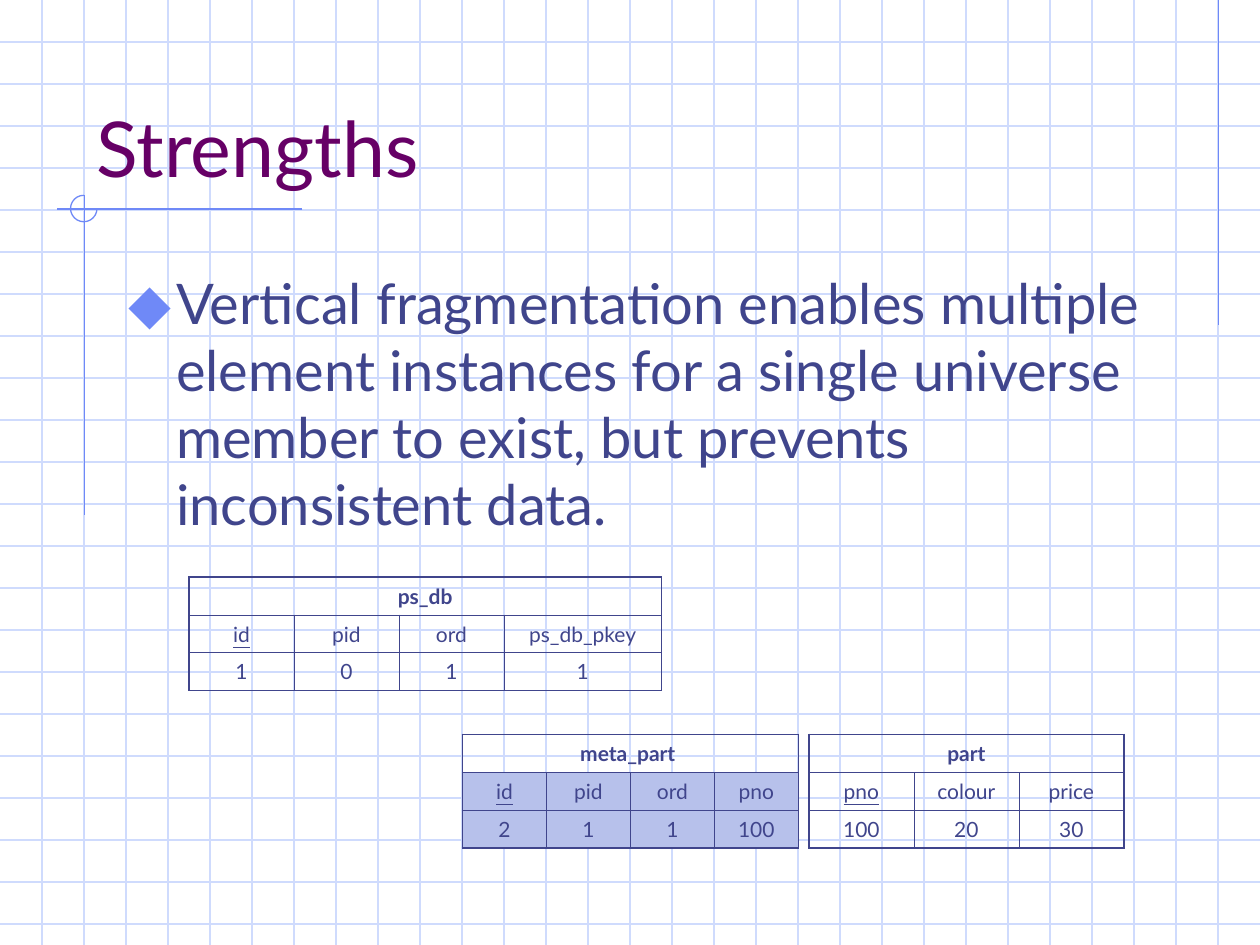
from dataclasses import dataclass

from lxml import etree
from pptx import Presentation
from pptx import util as u
from pptx.dml.color import RGBColor
from pptx.enum import shapes, text
from pptx.oxml.ns import qn

FONT = "Lato"
COLORS = {
    "grid": "CFDBFD",
    "accent": "6F89F7",
    "title": "660066",
    "text": "40458C",
    "shade": "B7C1EB",
}
WIDTH, HEIGHT = 10, 7.5
GRID_STEP = 1 / 3
ROW_HEIGHT = 0.3
THICK, THIN = 1.08, 0.45


@dataclass
class Relation:
    """A database table: name, key column first, one row of data."""
    name: str
    left: float
    top: float
    widths: list[float]
    columns: list[str]
    values: list[str]
    shaded: bool = False


RELATIONS = [
    Relation("ps_db", 1.5, 4.58, [2.5 / 3] * 3 + [1.25],
             ["id", "pid", "ord", "ps_db_pkey"], ["1", "0", "1", "1"]),
    Relation("part", 6.42, 5.83, [2.5 / 3] * 3,
             ["pno", "colour", "price"], ["100", "20", "30"]),
    Relation("meta_part ", 3.67, 5.83, [2 / 3] * 4,
             ["id", "pid", "ord", "pno"], ["2", "1", "1", "100"], shaded=True),
]


def rgb(name: str) -> RGBColor:
    return RGBColor.from_string(COLORS[name])


def write(tf, content: str, *, size: float, color: str, bold: bool = False,
          underline: bool = False, align=text.PP_ALIGN.LEFT):
    """Put one formatted run into the first paragraph and return it."""
    p = tf.paragraphs[0]
    p.alignment = align
    r = p.add_run()
    r.text = content
    r.font.name = FONT
    r.font.size = u.Pt(size)
    r.font.bold = bold
    r.font.underline = underline
    r.font.color.rgb = rgb(color)
    return p


def add_line(s, x1: float, y1: float, x2: float, y2: float, color: str) -> None:
    sp = s.shapes.add_connector(shapes.MSO_CONNECTOR.STRAIGHT,
                                *map(u.Inches, (x1, y1, x2, y2)))
    sp.line.color.rgb = rgb(color)
    sp.line.width = u.Pt(0.75)
    etree.SubElement(sp._element.spPr, qn("a:effectLst"))


def add_text_box(s, left: float, top: float, width: float, height: float, anchor):
    tf = s.shapes.add_textbox(*map(u.Inches, (left, top, width, height))).text_frame
    tf.word_wrap = True
    tf.vertical_anchor = anchor
    return tf


def add_bullet(p, char: str, color: str, percent: int, indent: float) -> None:
    pPr = p._p.get_or_add_pPr()
    pPr.set("marL", str(u.Inches(indent)))
    pPr.set("indent", str(-u.Inches(indent)))
    bu_color = etree.SubElement(pPr, qn("a:buClr"))
    etree.SubElement(bu_color, qn("a:srgbClr"), val=COLORS[color])
    etree.SubElement(pPr, qn("a:buSzPct"), val=str(percent * 1000))
    etree.SubElement(pPr, qn("a:buFont"), typeface=FONT)
    etree.SubElement(pPr, qn("a:buChar"), char=char)


def set_borders(cell, outer: dict[str, bool]) -> None:
    """Draw outer edges thick and inner edges thin."""
    tcPr = cell._tc.get_or_add_tcPr()
    for i, (side, is_outer) in enumerate(outer.items()):
        width = u.Pt(THICK if is_outer else THIN)
        ln = etree.Element(qn(f"a:ln{side}"), w=str(int(width)))
        fill = etree.SubElement(ln, qn("a:solidFill"))
        etree.SubElement(fill, qn("a:srgbClr"), val=COLORS["text"])
        tcPr.insert(i, ln)


def add_relation(s, rel: Relation) -> None:
    n = len(rel.columns)
    frame = s.shapes.add_table(3, n, u.Inches(rel.left), u.Inches(rel.top),
                               u.Inches(sum(rel.widths)), u.Inches(3 * ROW_HEIGHT))
    table = frame.table
    table.first_row = table.horz_banding = False
    for column, width in zip(table.columns, rel.widths):
        column.width = u.Inches(width)
    for row in table.rows:
        row.height = u.Inches(ROW_HEIGHT)
    table.cell(0, 0).merge(table.cell(0, n - 1))

    rows = [[rel.name], rel.columns, rel.values]
    for i, contents in enumerate(rows):
        header = i == 0
        for j in range(n):
            cell = table.cell(i, j)
            if rel.shaded and not header:
                cell.fill.solid()
                cell.fill.fore_color.rgb = rgb("shade")
            else:
                cell.fill.background()
            set_borders(cell, {"L": header or j == 0, "R": header or j == n - 1,
                               "T": header, "B": i == 2})
            if j < len(contents):
                write(cell.text_frame, contents[j], size=12, color="text",
                      bold=header, underline=i == 1 and j == 0,
                      align=text.PP_ALIGN.CENTER)


def add_background(s) -> None:
    # Graph paper
    for i in range(1, 23):
        add_line(s, 0, i * GRID_STEP, WIDTH, i * GRID_STEP, "grid")
    for i in range(1, 30):
        add_line(s, i * GRID_STEP, 0, i * GRID_STEP, HEIGHT, "grid")

    # Accent lines and the three-quarter ring where they cross
    add_line(s, 9.67, 0, 9.67, 2.58, "accent")
    add_line(s, 2.4, 1.66, 0.45, 1.66, "accent")
    add_line(s, 0.67, 1.55, 0.67, 4.09, "accent")
    ring = s.shapes.add_shape(shapes.MSO_SHAPE.ARC,
                              *map(u.Inches, (0.56, 1.55, 0.21, 0.21)))
    ring.adjustments[0] = 0
    ring.adjustments[1] = 162  # 270 degrees
    ring.shadow.inherit = False
    ring.fill.background()
    ring.line.color.rgb = rgb("accent")
    ring.line.width = u.Pt(0.75)


def main() -> None:
    prs = Presentation()
    prs.slide_width, prs.slide_height = u.Inches(WIDTH), u.Inches(HEIGHT)
    s = prs.slides.add_slide(prs.slide_layouts[6])
    add_background(s)

    # Title
    tf = add_text_box(s, 0.67, 0.33, 8.5, 1.25, text.MSO_ANCHOR.BOTTOM)
    write(tf, "Strengths", size=44, color="title")

    # Bulleted statement
    tf = add_text_box(s, 0.92, 2.08, 8.5, 4.5, text.MSO_ANCHOR.TOP)
    p = write(tf, "Vertical fragmentation enables multiple element instances for a "
                  "single universe member to exist, but prevents inconsistent data.",
              size=32, color="text")
    p.space_before = u.Pt(8)
    add_bullet(p, "⬥", "accent", 110, 0.38)

    # Example relations
    for rel in RELATIONS:
        add_relation(s, rel)

    prs.save("out.pptx")


if __name__ == "__main__":
    main()
